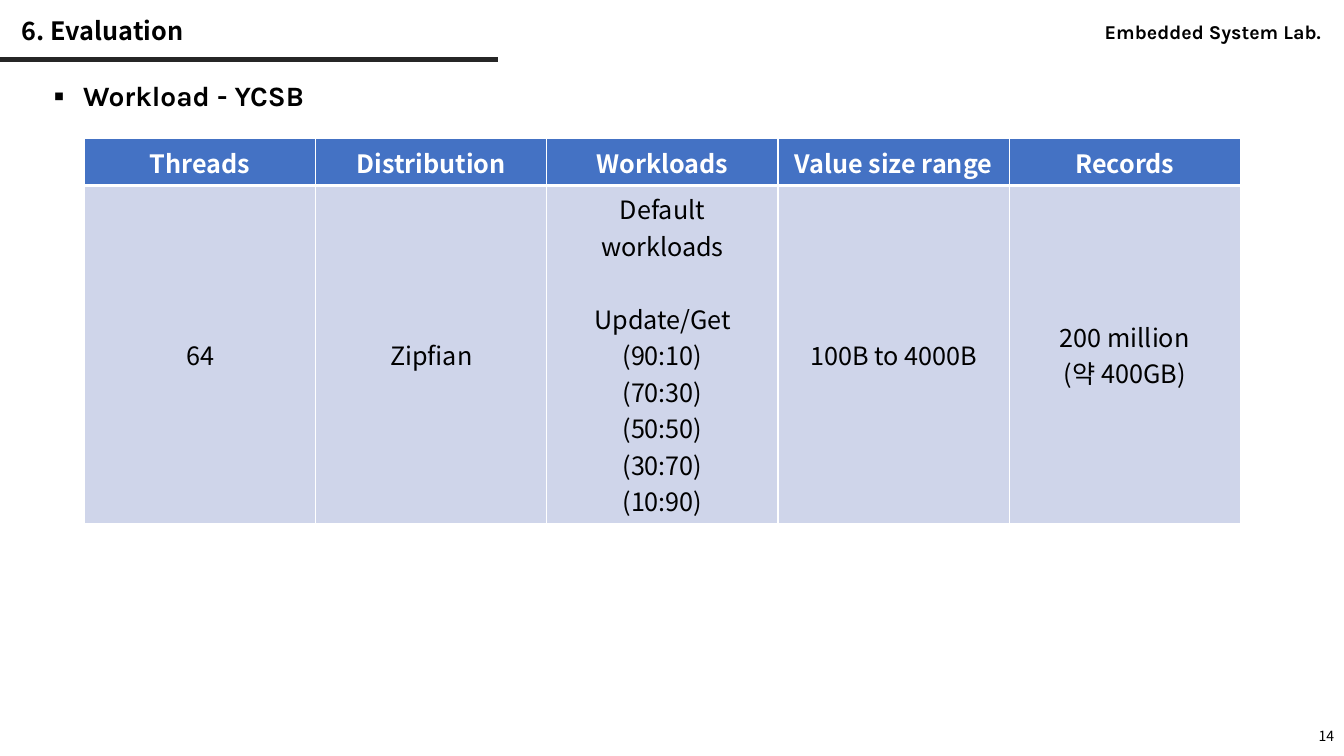
from collections import namedtuple

from lxml import etree
from pptx import Presentation
from pptx.dml.color import RGBColor
from pptx.enum.shapes import MSO_CONNECTOR
from pptx.enum.text import MSO_ANCHOR, MSO_AUTO_SIZE, PP_ALIGN
from pptx.oxml.ns import qn
from pptx.util import Cm, Pt

STRAIGHT = MSO_CONNECTOR.STRAIGHT
MIDDLE, TOP = MSO_ANCHOR.MIDDLE, MSO_ANCHOR.TOP
LEFT, CENTER, RIGHT = PP_ALIGN.LEFT, PP_ALIGN.CENTER, PP_ALIGN.RIGHT
NO_AUTOSIZE = MSO_AUTO_SIZE.NONE

COLORS = {
    "text": "000000",
    "rule": "262626",
    "header": "4472C4",
    "body": "CFD5EA",
    "white": "FFFFFF",
}
SANS = "Noto Sans CJK KR"
KARLA = "Karla"
LINE_GAP = 26

Box = namedtuple("Box", "left top width height")

HEADERS = ["Threads", "Distribution", "Workloads", "Value size range", "Records"]
SETTINGS = [
    ["64"],
    ["Zipfian"],
    ["Default workloads", "Update/Get", "(90:10)", "(70:30)", "(50:50)", "(30:70)", "(10:90)"],
    ["100B to 4000B"],
    ["200 million", "(약 400GB)"],
]


def color(name):
    return RGBColor.from_string(COLORS[name])


def add_span(para, text, size, font=SANS, bold=False, tint="text"):
    span = para.add_run()
    span.text = text
    span.font.size = Pt(size)
    span.font.bold = bold
    span.font.name = font
    span.font.color.rgb = color(tint)
    etree.SubElement(span.font._element, qn("a:ea"), typeface=font)


def place(shape, box, anchor):
    shape.left, shape.top = Cm(box.left), Cm(box.top)
    shape.width, shape.height = Cm(box.width), Cm(box.height)
    frame = shape.text_frame
    frame.word_wrap = True
    frame.auto_size = NO_AUTOSIZE
    frame.vertical_anchor = anchor
    return frame.paragraphs[0]


def add_label(page, box, text, size, anchor, align, font=SANS, bold=False):
    para = place(page.shapes.add_textbox(0, 0, 0, 0), box, anchor)
    para.alignment = align
    add_span(para, text, size, font, bold)


def add_heading(page, box):
    para = place(page.shapes.title, Box(box.left + 0.3, box.top + 0.3, 24.66, 1.02), MIDDLE)
    para.alignment = LEFT
    para.line_spacing = 0.9
    add_span(para, "6. Evaluation", 18, bold=True)

    rule_top = Cm(box.top + box.height)
    rule = page.shapes.add_connector(
        STRAIGHT, Cm(box.left), rule_top, Cm(box.left + 12.55), rule_top
    )
    rule.line.color.rgb = color("rule")
    rule.line.width = Pt(3)
    etree.SubElement(rule._element.spPr, qn("a:effectLst"))

    lab = Box(box.left + box.width - 6.28, box.top + 0.38, 6.32, 0.86)
    add_label(page, lab, "Embedded System Lab.", 14, TOP, LEFT, KARLA, True)


def add_topic(page, box):
    para = place(page.placeholders[1], box, TOP)
    para.alignment = LEFT
    para.space_before = Pt(0)
    properties = para._p.get_or_add_pPr()
    properties.set("marL", str(Cm(0.95)))
    properties.set("indent", str(Cm(-0.95)))
    etree.SubElement(properties, qn("a:buFont"), typeface=SANS)
    etree.SubElement(properties, qn("a:buChar"), char="▪")
    add_span(para, "Workload - YCSB", 20, KARLA, True)


def set_borders(cell, top, bottom):
    properties = cell._tc.get_or_add_tcPr()
    sides = [("a:lnL", 1), ("a:lnR", 1), ("a:lnT", top), ("a:lnB", bottom)]
    for position, (side, points) in enumerate(sides):
        line = etree.Element(qn(side), w=str(Pt(points)))
        fill = etree.SubElement(line, qn("a:solidFill"))
        etree.SubElement(fill, qn("a:srgbClr"), val=COLORS["white"])
        properties.insert(position, line)


def fill_cell(cell, lines, fill, tint, bold):
    cell.fill.solid()
    cell.fill.fore_color.rgb = color(fill)
    cell.vertical_anchor = MIDDLE
    for number, text in enumerate(lines):
        frame = cell.text_frame
        para = frame.add_paragraph() if number else frame.paragraphs[0]
        para.alignment = CENTER
        if text == "Update/Get":
            para.space_before = Pt(LINE_GAP)
        add_span(para, text, 18, bold=bold, tint=tint)


def add_workload_table(page, box):
    frame = page.shapes.add_table(
        2, len(HEADERS), Cm(box.left), Cm(box.top), Cm(box.width), Cm(box.height)
    )
    table = frame.table
    table.horz_banding = False
    header_height = 1.04
    table.rows[0].height = Cm(header_height)
    table.rows[1].height = Cm(box.height - header_height)
    for index, (header, lines) in enumerate(zip(HEADERS, SETTINGS)):
        table.columns[index].width = Cm(box.width / len(HEADERS))
        fill_cell(table.cell(0, index), [header], "header", "white", True)
        set_borders(table.cell(0, index), 1, 3)
        fill_cell(table.cell(1, index), lines, "body", "text", False)
        set_borders(table.cell(1, index), 3, 1)


def main():
    deck = Presentation()
    deck.slide_width, deck.slide_height = Cm(33.87), Cm(19.05)
    page = deck.slides.add_slide(deck.slide_layouts[1])
    add_heading(page, Box(0, 0, 33.87, 1.5))
    add_topic(page, Box(0.89, 1.85, 30.56, 1.12))
    add_workload_table(page, Box(2.13, 3.5, 29.13, 7.39))
    add_label(page, Box(26.25, 18.03, 7.62, 1.02), "14", 10, MIDDLE, RIGHT)
    deck.save("out.pptx")


if __name__ == "__main__":
    main()
